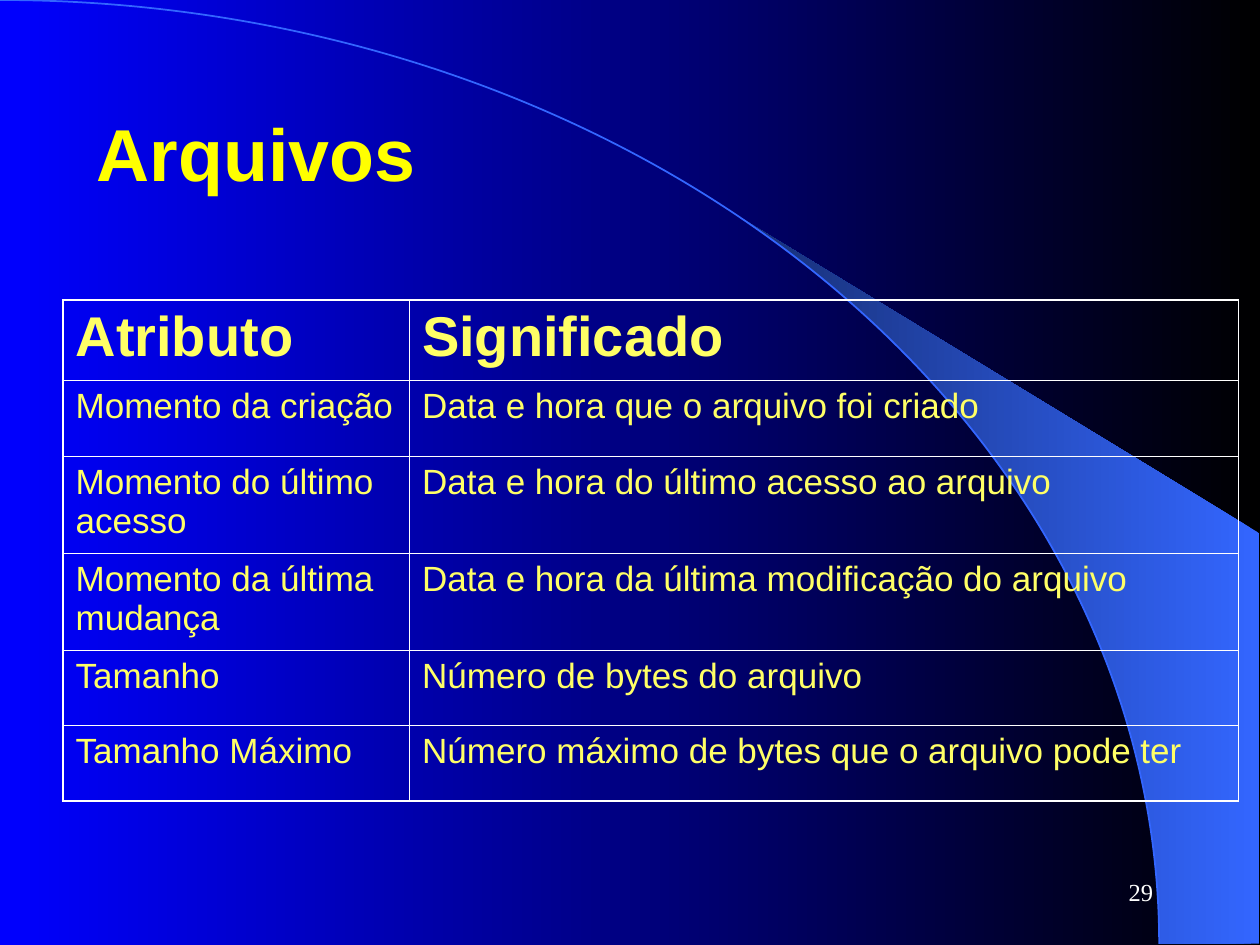
from math import cos, radians, sin

from lxml import etree
from pptx import Presentation
from pptx.dml.color import RGBColor
from pptx.enum.shapes import MSO_SHAPE
from pptx.enum.text import MSO_ANCHOR, PP_ALIGN
from pptx.oxml.ns import qn
from pptx.util import Inches, Pt

ARC = MSO_SHAPE.ARC
MIDDLE, TOP = MSO_ANCHOR.MIDDLE, MSO_ANCHOR.TOP
LEFT, RIGHT = PP_ALIGN.LEFT, PP_ALIGN.RIGHT

BLACK = RGBColor(0x00, 0x00, 0x00)
BLUE = RGBColor(0x00, 0x00, 0xFF)
SKY = RGBColor(0x33, 0x66, 0xFF)
NAVY = RGBColor(0x17, 0x2F, 0x75)
YELLOW = RGBColor(0xFF, 0xFF, 0x00)
PALE_YELLOW = RGBColor(0xFF, 0xFF, 0x66)
WHITE = RGBColor(0xFF, 0xFF, 0xFF)

# Grid of 100 columns by 75 rows
WIDTH, HEIGHT = Inches(10), Inches(7.5)
COL, ROW = WIDTH / 100, HEIGHT / 75

OUTER, INNER = Pt(1.08), Pt(0.45)
COLUMN_WIDTHS = (27.5, 65.8)
ROW_HEIGHTS = (6.4, 6, 7.7, 7.7, 6, 6)
ATTRIBUTES = (
    ("Atributo", "Significado"),
    ("Momento da criação", "Data e hora que o arquivo foi criado"),
    ("Momento do último acesso", "Data e hora do último acesso ao arquivo"),
    ("Momento da última mudança", "Data e hora da última modificação do arquivo"),
    ("Tamanho", "Número de bytes do arquivo"),
    ("Tamanho Máximo", "Número máximo de bytes que o arquivo pode ter"),
)


def grid_box(left, top, width, height):
    """Turn columns and rows of the grid into slide lengths."""
    return round(left * COL), round(top * ROW), round(width * COL), round(height * ROW)


def write(frame, text, *, size, color, font="Arial", bold=False, align=LEFT, anchor=TOP):
    frame.word_wrap = True
    frame.vertical_anchor = anchor
    para = frame.paragraphs[0]
    para.alignment = align
    span = para.add_run()
    span.text = text
    span.font.size = Pt(size)
    span.font.name = font
    span.font.bold = bold
    span.font.color.rgb = color


def add_text(page, box, text, **style):
    write(page.shapes.add_textbox(*box).text_frame, text, **style)


def fill_gradient(fill, right, left):
    fill.gradient()
    fill.gradient_angle = 180
    for stop, color in zip(fill.gradient_stops, (right, left)):
        stop.color.rgb = color


def add_swoosh(page, box):
    """Quarter ellipse through the box, with a wedge from its tangent to the right edge."""
    left, top, width, height = box

    def on_curve(degrees):
        angle = radians(degrees)
        return left + width * sin(angle), top + height * (1 - cos(angle))

    # Wedge
    start = on_curve(39.8)
    right = round(99.9 * COL)
    points = [(right, 42.3 * ROW), (right, top + height)]
    points += [on_curve(degrees) for degrees in range(90, 40, -2)]
    builder = page.shapes.build_freeform(round(start[0]), round(start[1]))
    builder.add_line_segments([(round(x), round(y)) for x, y in points], close=True)
    wedge = builder.convert_to_shape()
    wedge.shadow.inherit = False
    fill_gradient(wedge.fill, SKY, NAVY)
    wedge.line.fill.background()

    # Curve
    curve = page.shapes.add_shape(ARC, left - width, top, 2 * width, 2 * height)
    curve.shadow.inherit = False
    curve.fill.background()
    curve.line.color.rgb = SKY
    curve.line.width = Pt(1)


def set_borders(cell, widths):
    properties = cell._tc.get_or_add_tcPr()
    for position, (side, width) in enumerate(widths.items()):
        line = etree.Element(qn(f"a:ln{side}"), w=str(width))
        solid = etree.SubElement(line, qn("a:solidFill"))
        etree.SubElement(solid, qn("a:srgbClr"), val=str(WHITE))
        properties.insert(position, line)


def add_attribute_table(page, box):
    last_row, last_column = len(ATTRIBUTES) - 1, len(COLUMN_WIDTHS) - 1
    table = page.shapes.add_table(last_row + 1, last_column + 1, *box).table
    table.first_row = table.horz_banding = False
    for column, width in zip(table.columns, COLUMN_WIDTHS):
        column.width = round(box[2] * width / sum(COLUMN_WIDTHS))
    for row, height in zip(table.rows, ROW_HEIGHTS):
        row.height = round(box[3] * height / sum(ROW_HEIGHTS))

    for r, texts in enumerate(ATTRIBUTES):
        for c, text in enumerate(texts):
            cell = table.cell(r, c)
            cell.fill.background()
            write(cell.text_frame, text, size=20 if r else 32, bold=r == 0, color=PALE_YELLOW)
            set_borders(cell, {
                "L": INNER if c else OUTER,
                "R": OUTER if c == last_column else INNER,
                "T": INNER if r else OUTER,
                "B": OUTER if r == last_row else INNER,
            })


def main():
    deck = Presentation()
    deck.slide_width, deck.slide_height = WIDTH, HEIGHT
    page = deck.slides.add_slide(deck.slide_layouts[6])
    fill_gradient(page.background.fill, BLACK, BLUE)

    add_swoosh(page, grid_box(0, 0, 92, 74.9))
    add_text(page, grid_box(6.7, 5.8, 90, 12.5), "Arquivos",
             size=42, bold=True, color=YELLOW, anchor=MIDDLE)
    add_attribute_table(page, grid_box(5, 23.8, sum(COLUMN_WIDTHS), sum(ROW_HEIGHTS)))
    add_text(page, grid_box(71.7, 68.3, 20.8, 5), "29", size=14, color=WHITE,
             font="Times New Roman", align=RIGHT, anchor=MIDDLE)

    deck.save("out.pptx")


if __name__ == "__main__":
    main()
